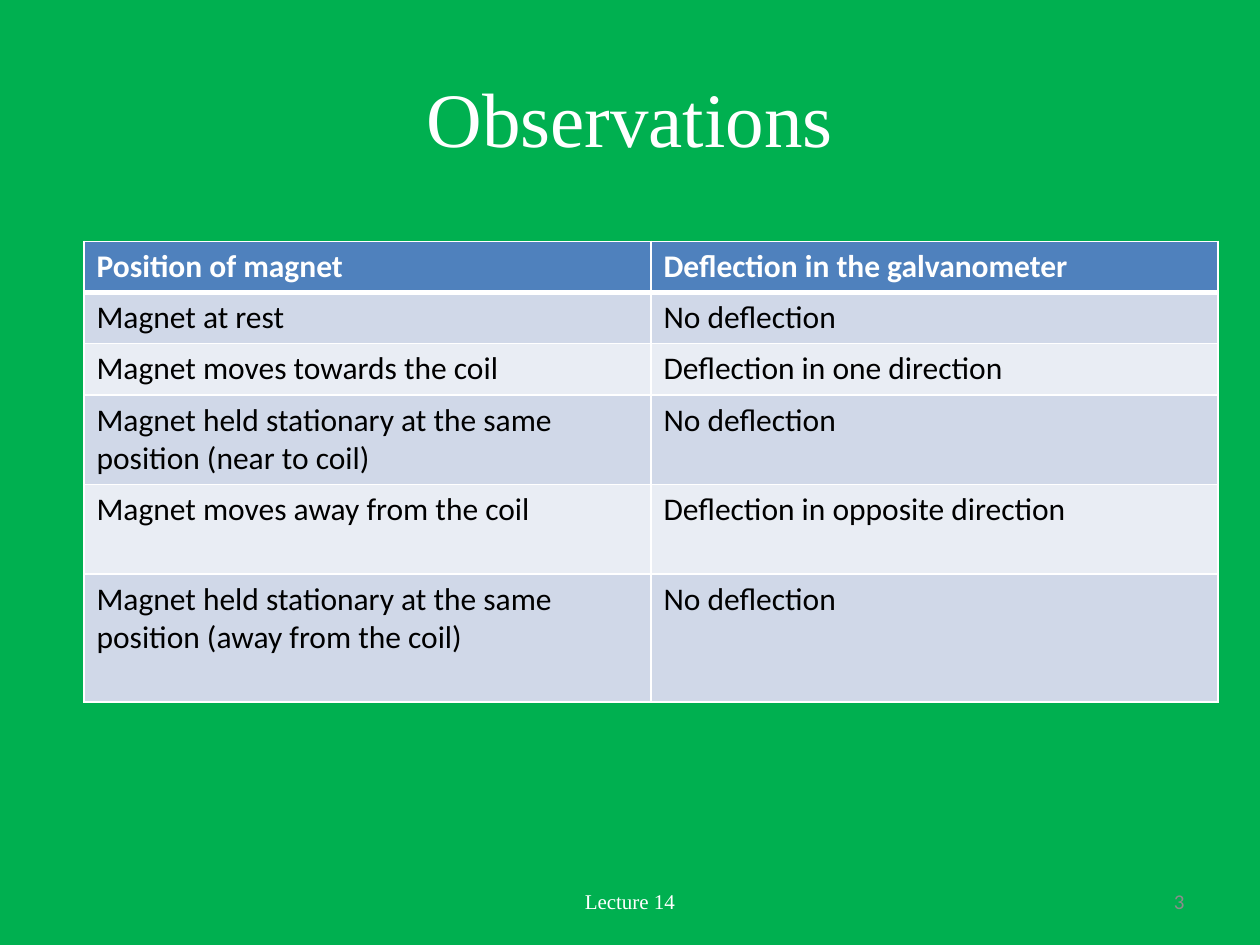
from lxml.etree import SubElement
from pptx import Presentation
from pptx.dml.color import RGBColor
from pptx.enum.text import MSO_ANCHOR as Anchor, PP_ALIGN as Align
from pptx.oxml.ns import qn
from pptx.util import Pt

COLORS = {
    "background": "00B050",
    "header": "4F81BD",
    "odd_row": "D0D8E8",
    "even_row": "E9EDF4",
    "white": "FFFFFF",
    "black": "000000",
    "gray": "8C8C8C",
}
SERIF, SANS = "Times New Roman", "Calibri"
OBSERVATIONS = [
    ("Position of magnet", "Deflection in the galvanometer"),
    ("Magnet at rest", "No deflection"),
    ("Magnet moves towards the coil", "Deflection in one direction"),
    ("Magnet held stationary at the same position (near to coil)", "No deflection"),
    ("Magnet moves away from the coil", "Deflection in opposite direction"),
    ("Magnet held stationary at the same position (away from the coil)", "No deflection"),
]
ROW_LINES = [1, 1, 1, 2, 2, 3]
LINE_HEIGHT, CELL_PADDING = 22, 7.2


def rgb(name):
    return RGBColor.from_string(COLORS[name])


def style_font(font, family, size, color, bold=False):
    font.name, font.size, font.bold = family, Pt(size), bold
    font.color.rgb = rgb(color)


def add_label(slide, box, text, family, size, color, align):
    frame = slide.shapes.add_textbox(*map(Pt, box)).text_frame
    frame.word_wrap = True
    frame.vertical_anchor = Anchor.MIDDLE
    frame.text = text
    paragraph = frame.paragraphs[0]
    paragraph.alignment = align
    style_font(paragraph.runs[0].font, family, size, color)


def add_borders(cell, top, bottom):
    """Draw white cell borders; top and bottom are widths in points."""
    properties = cell._tc.get_or_add_tcPr()
    for side, width in {"L": 1, "R": 1, "T": top, "B": bottom}.items():
        line = SubElement(properties, qn(f"a:ln{side}"), w=str(Pt(width)))
        fill = SubElement(line, qn("a:solidFill"))
        SubElement(fill, qn("a:srgbClr"), val=COLORS["white"])


def add_observation_table(slide, left, top, width):
    heights = [LINE_HEIGHT * lines + CELL_PADDING for lines in ROW_LINES]
    table = slide.shapes.add_table(
        len(OBSERVATIONS), 2, Pt(left), Pt(top), Pt(width), Pt(sum(heights))
    ).table
    for r, (texts, height) in enumerate(zip(OBSERVATIONS, heights)):
        table.rows[r].height = Pt(height)
        is_header = r == 0
        fill = "header" if is_header else "odd_row" if r % 2 else "even_row"
        for c, text in enumerate(texts):
            cell = table.cell(r, c)
            add_borders(cell, top=3 if r == 1 else 1, bottom=3 if is_header else 1)
            cell.fill.solid()
            cell.fill.fore_color.rgb = rgb(fill)
            cell.text = text
            style_font(cell.text_frame.paragraphs[0].runs[0].font, SANS, 18,
                       "white" if is_header else "black", bold=is_header)


def add_footer(slide, left, top, width, height):
    add_label(slide, (left, top, 228, height), "Lecture 14", SERIF, 12, "white", Align.CENTER)
    number_width = 168
    add_label(slide, (left + width - number_width, top, number_width, height),
              "3", SANS, 12, "gray", Align.RIGHT)


def main():
    deck = Presentation()
    deck.slide_width, deck.slide_height = Pt(720), Pt(540)
    slide = deck.slides.add_slide(deck.slide_layouts[6])
    slide.background.fill.solid()
    slide.background.fill.fore_color.rgb = rgb("background")
    add_label(slide, (36, 21.6, 648, 90), "Observations", SERIF, 44, "white", Align.CENTER)
    add_observation_table(slide, 48, 138, 648)
    add_footer(slide, 246, 500.5, 438, 28.75)
    deck.save("out.pptx")


if __name__ == "__main__":
    main()
